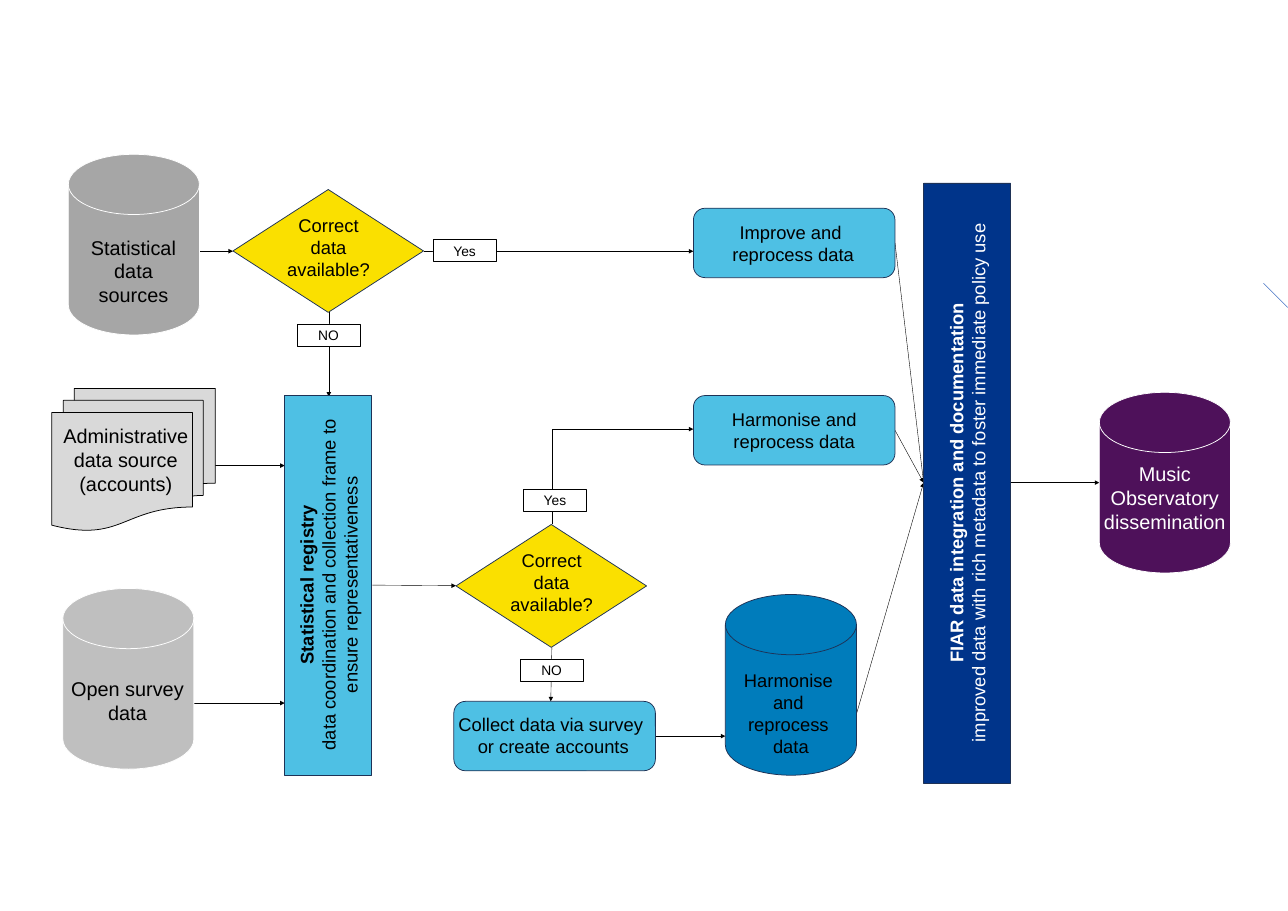
import dataclasses
import typing

import lxml.etree
import pptx
import pptx.dml.color
import pptx.enum.shapes
import pptx.enum.text
import pptx.oxml.ns
import pptx.util

SHAPE = pptx.enum.shapes.MSO_SHAPE
CONNECTOR = pptx.enum.shapes.MSO_CONNECTOR
ANCHOR = pptx.enum.text.MSO_ANCHOR
A2_WIDTH = pptx.util.Emu(21383625)
A2_HEIGHT = pptx.util.Emu(15119350)
CELL = pptx.util.Inches(0.1)


@dataclasses.dataclass(frozen=True)
class Theme:
    font: str = "Arial"
    ink: str = "000000"
    paper: str = "FFFFFF"
    outline: str = "1E3256"
    step: str = "4EC0E4"
    decision: str = "FAE000"
    statistics: str = "A6A6A6"
    survey: str = "BFBFBF"
    accounts: str = "D9D9D9"
    harmonised: str = "007CBB"
    integration: str = "00348A"
    observatory: str = "4E115A"
    accent: str = "4472C4"
    source_size: int = 26
    process_size: int = 24
    answer_size: int = 18
    shape_line: float = 1
    answer_line: float = 0.75
    arrow_line: float = 0.5


class Box(typing.NamedTuple):
    column: float
    row: float
    columns: float
    rows: float


class Symbol(typing.NamedTuple):
    preset: SHAPE
    box: Box
    fill: str
    outline: str


class Caption(typing.NamedTuple):
    words: str
    box: Box
    size: int
    color: str
    heading: str = ""
    rotation: int = 0


class Flow(typing.NamedTuple):
    column: float
    row: float
    to_column: float
    to_row: float


class Place(typing.NamedTuple):
    column: float
    row: float


class Answer(typing.NamedTuple):
    word: str
    place: Place


theme = Theme()


def cells(*amounts: float) -> list[int]:
    return [round(amount * CELL) for amount in amounts]


def apply(target: object, formats: dict[str, object]) -> None:
    for name, value in formats.items():
        setattr(target, name, value)


def rgb(color: str) -> pptx.dml.color.RGBColor:
    return pptx.dml.color.RGBColor.from_string(color)


def write(frame, words: str, size: int, color: str, heading: str = "") -> None:
    apply(frame, {"word_wrap": True, "auto_size": pptx.enum.text.MSO_AUTO_SIZE.SHAPE_TO_FIT_TEXT})
    paragraph = frame.paragraphs[0]
    paragraph.alignment = pptx.enum.text.PP_ALIGN.CENTER
    lines = ([heading] if heading else []) + words.split("\n")
    for number, line in enumerate(lines):
        if number:
            paragraph.add_line_break()
        run = paragraph.add_run()
        run.text = line
        apply(run.font, {"name": theme.font, "size": pptx.util.Pt(size),
                         "bold": bool(heading) and number == 0})
        run.font.color.rgb = rgb(color)


def draw_symbol(slide, symbol: Symbol, width: float = theme.shape_line):
    shape = slide.shapes.add_shape(symbol.preset, *cells(*symbol.box))
    shape.shadow.inherit = False
    shape.fill.solid()
    shape.fill.fore_color.rgb = rgb(symbol.fill)
    shape.line.color.rgb = rgb(symbol.outline)
    shape.line.width = pptx.util.Pt(width)
    return shape


def draw_caption(slide, caption: Caption) -> None:
    label = slide.shapes.add_textbox(*cells(*caption.box))
    label.rotation = caption.rotation
    write(label.text_frame, caption.words, caption.size, caption.color, caption.heading)


def draw_answer(slide, answer: Answer) -> None:
    box = Box(*answer.place, 11.5, 4)
    tag = draw_symbol(slide, Symbol(SHAPE.RECTANGLE, box, theme.paper, theme.ink), theme.answer_line)
    write(tag.text_frame, answer.word, theme.answer_size, theme.ink)
    tag.text_frame.vertical_anchor = ANCHOR.MIDDLE


def draw_flow(slide, flow: Flow, color: str = theme.ink, arrow: bool = True,
              kind: CONNECTOR = CONNECTOR.STRAIGHT):
    connector = slide.shapes.add_connector(kind, *cells(*flow))
    connector.line.color.rgb = rgb(color)
    connector.line.width = pptx.util.Pt(theme.arrow_line)
    properties = connector.element.spPr
    qn = pptx.oxml.ns.qn
    if arrow:
        lxml.etree.SubElement(properties.find(qn("a:ln")), qn("a:tailEnd"), type="triangle")
    lxml.etree.SubElement(properties, qn("a:effectLst"))
    return connector


def draw_corner(slide, flow: Flow) -> None:
    middle_column = (flow.column + flow.to_column) / 2
    middle_row = (flow.row + flow.to_row) / 2
    half_rise = (flow.row - flow.to_row) / 2
    half_run = (flow.to_column - flow.column) / 2
    turned = Flow(middle_column + half_rise, middle_row + half_run,
                  middle_column - half_rise, middle_row - half_run)
    properties = draw_flow(slide, turned, kind=CONNECTOR.ELBOW).element.spPr
    properties.find(pptx.oxml.ns.qn("a:prstGeom")).set("prst", "bentConnector2")
    properties.find(pptx.oxml.ns.qn("a:xfrm")).set("rot", str(90 * 60000))


def disk(column: float, row: float, fill: str, outline: str = theme.paper) -> Symbol:
    return Symbol(SHAPE.FLOWCHART_MAGNETIC_DISK, Box(column, row, 23.8, 32.8), fill, outline)


def step(column: float, row: float) -> Symbol:
    return Symbol(SHAPE.ROUNDED_RECTANGLE, Box(column, row, 36.6, 12.6), theme.step, theme.outline)


def bar(column: float, row: float, rows: float, fill: str) -> Symbol:
    return Symbol(SHAPE.RECTANGLE, Box(column, row, 15.8, rows), fill, theme.outline)


def source(words: str, box: Box, color: str = theme.ink) -> Caption:
    return Caption(words, box, theme.source_size, color)


def process(words: str, box: Box, color: str = theme.ink, heading: str = "") -> Caption:
    return Caption(words, box, theme.process_size, color, heading, 270 if heading else 0)


decisions = [Place(42.3, 34.4), Place(82.8, 95.2)]
symbols = [
    disk(12.4, 28, theme.statistics),
    Symbol(SHAPE.FLOWCHART_MULTIDOCUMENT, Box(9.4, 70.5, 29.7, 25.8), theme.accounts, theme.ink),
    disk(11.4, 106.8, theme.survey),
    bar(51.7, 71.8, 68.9, theme.step),
    step(125.9, 37.8), step(125.9, 71.8), step(82.4, 127.3),
    disk(131.7, 107.9, theme.harmonised, theme.outline),
    bar(167.7, 33.2, 108.9, theme.integration),
    disk(199.6, 71.2, theme.observatory),
] + [Symbol(SHAPE.FLOWCHART_DECISION, Box(*place, 34.6, 22.3), theme.decision, theme.outline)
     for place in decisions]

captions = [
    source("Statistical data sources", Box(13.6, 42.2, 21.3, 14.1)),
    source("Administrative data source\n(accounts)", Box(8.4, 76.4, 28.9, 14.1)),
    source("Open survey data", Box(11.4, 122.4, 23.5, 9.8)),
    process("data coordination and collection frame to ensure representativeness",
            Box(25.4, 99.6, 68.5, 13.1), heading="Statistical registry"),
    process("Improve and \nreprocess data", Box(125.9, 39.6, 36.2, 9.1)),
    process("Harmonise and reprocess data", Box(125.9, 73.6, 36.6, 9.1)),
    process("Collect data via survey\n or create accounts", Box(80, 129, 40, 9.1)),
    process("Harmonise \nand \nreprocess \ndata", Box(131.7, 121, 23.8, 17.2)),
    process("improved data with rich metadata to foster immediate policy use",
            Box(121.2, 83.1, 108.9, 9.1), theme.paper, "FIAR data integration and documentation"),
    source("Music\nObservatory\ndissemination", Box(199.1, 83.3, 24.8, 14.1), theme.paper),
] + [process("Correct\ndata\navailable?", Box(place.column + 5.6, place.row + 3.9, 23.5, 13.1))
     for place in decisions]

answers = [Answer("Yes", Place(78.6, 43.5)), Answer("NO", Place(53.9, 58.8)),
           Answer("Yes", Place(95, 88.8)), Answer("NO", Place(94.4, 119.6))]

integration_entry = (167.7, 87.6)
flows = [
    Flow(35.9, 45.6, 42.3, 45.6), Flow(77, 45.6, 125.9, 45.6), Flow(59.7, 56.7, 59.7, 72),
    Flow(39.1, 84.5, 51.7, 84.5), Flow(34.9, 127.6, 51.7, 127.6), Flow(67.6, 106.2, 82.8, 106.3),
    Flow(100.2, 117.5, 100, 127.3), Flow(118.9, 133.6, 131.7, 133.6),
    Flow(162.5, 44.1, *integration_entry), Flow(162.5, 78.1, *integration_entry),
    Flow(155.5, 129.6, *integration_entry), Flow(183.5, 87.6, 199.6, 87.6),
]

deck = pptx.Presentation()
deck.slide_width = A2_WIDTH
deck.slide_height = A2_HEIGHT
workflow = deck.slides.add_slide(deck.slide_layouts[6])
for flow in flows:
    draw_flow(workflow, flow)
draw_corner(workflow, Flow(100.2, 95.2, 125.9, 77.9))
draw_flow(workflow, Flow(229.4, 51.4, 233.8, 55.8), theme.accent, arrow=False)
for symbol in symbols:
    draw_symbol(workflow, symbol)
for caption in captions:
    draw_caption(workflow, caption)
for answer in answers:
    draw_answer(workflow, answer)
deck.save("out.pptx")
